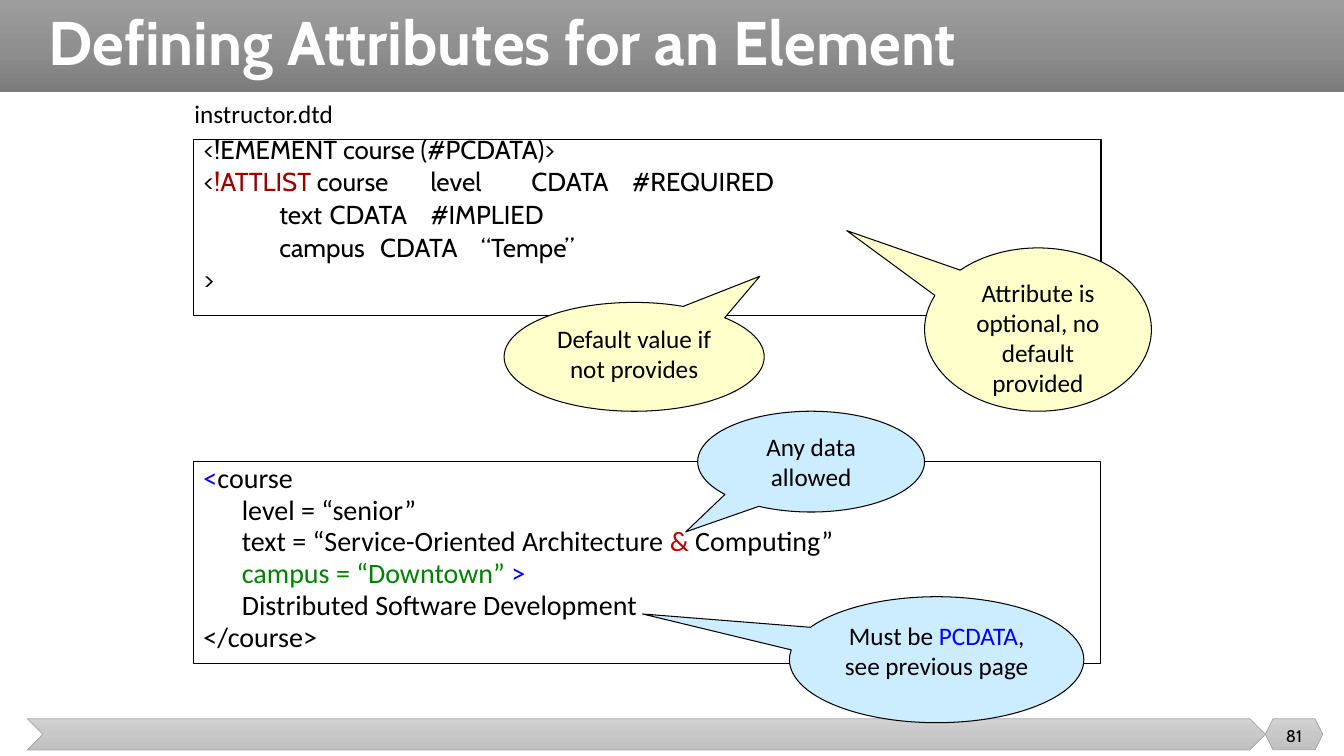
"""Build the slide on defining attributes for an element in a DTD."""
from copy import deepcopy

from pptx import Presentation
from pptx.dml.color import RGBColor
from pptx.enum.shapes import MSO_SHAPE
from pptx.enum.text import MSO_ANCHOR, MSO_AUTO_SIZE, PP_ALIGN
from pptx.oxml.ns import qn
from pptx.util import Emu, Pt

RECT, CHEVRON, HEXAGON = MSO_SHAPE.RECTANGLE, MSO_SHAPE.CHEVRON, MSO_SHAPE.HEXAGON
CALLOUT = MSO_SHAPE.OVAL_CALLOUT
TOP, MIDDLE = MSO_ANCHOR.TOP, MSO_ANCHOR.MIDDLE
LEFT, CENTER = PP_ALIGN.LEFT, PP_ALIGN.CENTER
NO_FIT = MSO_AUTO_SIZE.NONE

BLACK = RGBColor(0x00, 0x00, 0x00)
WHITE = RGBColor(0xFF, 0xFF, 0xFF)
DARK_RED = RGBColor(0x99, 0x00, 0x00)
RED = RGBColor(0xC0, 0x00, 0x00)
GREEN = RGBColor(0x00, 0x80, 0x00)
BLUE = RGBColor(0x00, 0x00, 0xFF)
YELLOW = RGBColor(0xFF, 0xFF, 0xCC)
SKY = RGBColor(0xCC, 0xEC, 0xFF)
EDGE = RGBColor(0xA5, 0xA5, 0xA5)
HEADER_GREYS = [RGBColor(v, v, v) for v in (0x9D, 0x90, 0x7C)]
FOOTER_GREYS = [RGBColor(v, v, v) for v in (0xD2, 0xC8, 0xC0)]

PX = 9144
CABIN, CALIBRI = "Cabin", "Calibri"

DTD_LINES = [
    [("<!EMEMENT course (#PCDATA)>", BLACK)],
    [("<", BLACK), ("!ATTLIST ", DARK_RED), ("course\tlevel \tCDATA\t#REQUIRED", BLACK)],
    [("\t\ttext \tCDATA\t#IMPLIED", BLACK)],
    [("\t\tcampus \tCDATA\t“Tempe”", BLACK)],
    [(">", BLACK)],
]
XML_LINES = [
    [("<", BLUE), ("course", BLACK)],
    [("\tlevel = “senior”", BLACK)],
    [("\ttext = “Service-Oriented Architecture ", BLACK), ("&", RED), (" Computing”", BLACK)],
    [("\t", BLACK), ("campus = “Downtown” ", GREEN), (">", BLUE)],
    [("\tDistributed Software Development", BLACK)],
    [("</course>", BLACK)],
]
CALLOUTS = [
    ((500, 300, 258, 108), (0.483, -0.74), YELLOW, [("Default value if not provides", BLACK)]),
    ((917, 246, 225, 162), (-0.843, -0.606), YELLOW,
     [("Attribute is optional, no default provided", BLACK)]),
    ((692, 408, 225, 100), (-0.553, 0.697), SKY, [("Any data allowed", BLACK)]),
    ((783, 592, 292, 125), (-0.999, -0.363), SKY,
     [("Must be ", BLACK), ("PCDATA", BLUE), (", see previous page", BLACK)]),
]


def scaled(box):
    """Turn a box in px into EMU lengths."""
    return [Emu(v * PX) for v in box]


def write(sp, lines, font, size, align=LEFT, anchor=TOP, bold=False,
          spacing=None, before=0, hang=0, wrap=True):
    """Write lines of coloured runs into a shape."""
    tf = sp.text_frame
    tf.auto_size = NO_FIT
    tf.word_wrap = wrap
    tf.vertical_anchor = anchor
    for i, line in enumerate(lines):
        p = tf.add_paragraph() if i else tf.paragraphs[0]
        p.alignment = align
        p.line_spacing = spacing
        p.space_before = Pt(before if i else 0)
        pPr = p._p.get_or_add_pPr()
        pPr.set("marL", str(hang * PX))
        pPr.set("indent", str(-hang * PX))
        pPr.append(pPr.makeelement(qn("a:buNone"), {}))
        for text, color in line:
            r = p.add_run()
            r.text = text
            r.font.name = font
            r.font.size = Pt(size)
            r.font.bold = bold
            r.font.color.rgb = color


def paint(sp, fill, line=None, width=0.75):
    """Give a shape a solid fill and an optional outline."""
    sp.fill.solid()
    sp.fill.fore_color.rgb = fill
    outline(sp, line, width)


def outline(sp, color, width):
    """Set the outline of a shape, or remove it when there is no color."""
    if color is None:
        sp.line.fill.background()
    else:
        sp.line.color.rgb = color
        sp.line.width = Pt(width)


def add_shape(slide, kind, box):
    """Add a preset shape without shadow."""
    sp = slide.shapes.add_shape(kind, *scaled(box))
    sp.shadow.inherit = False
    return sp


def add_band(slide, kind, box, greys, line=None):
    """Add a shape with a vertical three-stop gradient."""
    sp = add_shape(slide, kind, box)
    sp.fill.gradient()
    sp.fill.gradient_angle = 270
    stops = sp._element.spPr.find(".//" + qn("a:gsLst"))
    stops.insert(1, deepcopy(stops[0]))
    for i, (stop, grey) in enumerate(zip(sp.fill.gradient_stops, greys)):
        stop.position = i / 2
        stop.color.rgb = grey
    outline(sp, line, 0.5)


def place(slide, sp, box):
    """Move a placeholder to its box, in front of the shapes so far."""
    sp.left, sp.top, sp.width, sp.height = scaled(box)
    slide.shapes._spTree.append(sp._element)
    return sp


def add_callout(slide, box, tip, fill, runs):
    """Add an oval callout whose tip is given as shares of its size."""
    sp = add_shape(slide, CALLOUT, box)
    sp.adjustments[0], sp.adjustments[1] = tip
    paint(sp, fill, BLACK)
    write(sp, [runs], CALIBRI, 18, CENTER)


def main():
    """Build and save the slide."""
    prs = Presentation()
    prs.slide_width, prs.slide_height = scaled((1333, 750))
    slide = prs.slides.add_slide(prs.slide_layouts[1])

    add_band(slide, RECT, (0, 0, 1333, 91), HEADER_GREYS)
    add_band(slide, CHEVRON, (27, 713, 1228, 31), FOOTER_GREYS, EDGE)
    add_band(slide, HEXAGON, (1255, 713, 57, 31), FOOTER_GREYS, EDGE)
    number = slide.shapes.add_textbox(*scaled((1255, 710, 57, 40)))
    write(number, [[("81", BLACK)]], CABIN, 12, CENTER, MIDDLE)

    title = place(slide, slide.shapes.title, (38, 0, 1274, 91))
    write(title, [[("Defining Attributes for an Element", WHITE)]], CABIN, 44,
          anchor=MIDDLE, bold=True, spacing=0.9)

    dtd = place(slide, slide.placeholders[1], (192, 138, 900, 175))
    paint(dtd, WHITE, BLACK)
    write(dtd, DTD_LINES, CABIN, 18.5, spacing=0.6, before=10, hang=25)

    xml = add_shape(slide, RECT, (192, 458, 900, 200))
    paint(xml, WHITE, BLACK)
    write(xml, XML_LINES, CALIBRI, 20, spacing=0.8, before=3.6, hang=38)

    label = add_shape(slide, RECT, (183, 93, 159, 40))
    paint(label, WHITE)
    write(label, [[("instructor.dtd", BLACK)]], CALIBRI, 18, wrap=False)

    for callout in CALLOUTS:
        add_callout(slide, *callout)

    prs.save("out.pptx")


if __name__ == "__main__":
    main()
